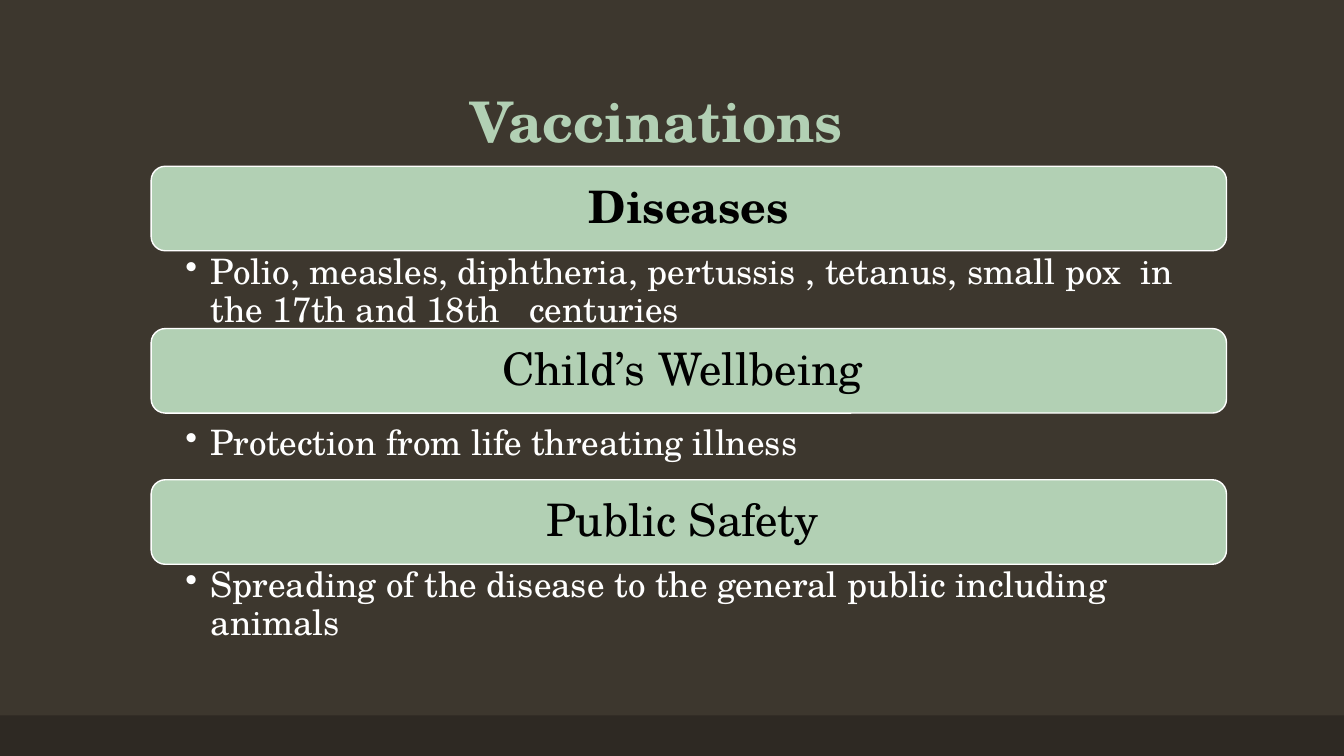
import pptx
import pptx.util
import pptx.dml.color
import pptx.enum.shapes
import pptx.enum.text
import pptx.oxml
import pptx.oxml.ns
from pptx.util import Cm

SHAPES = pptx.enum.shapes.MSO_SHAPE
ALIGN = pptx.enum.text.PP_ALIGN
ANCHOR = pptx.enum.text.MSO_ANCHOR
NO_FIT = pptx.enum.text.MSO_AUTO_SIZE.NONE

WIDTH, HEIGHT, BAND_TOP = 33.87, 19.05, 18.03
LEFT, BAR_WIDTH, BAR_HEIGHT = 3.81, 27.1, 2.13

# bar top, heading, bold, detail top, detail height, detail
TOPICS = [
    (4.19, "Diseases", True, 6.32, 2.16,
     "Polio, measles, diphtheria, pertussis , tetanus, small pox  in the 17th and 18th   centuries"),
    (8.28, "Child’s Wellbeing ", False, 10.62, 1.47,
     "Protection from life threating illness"),
    (12.09, "Public Safety ", False, 14.2, 2.16,
     "Spreading of the disease to the general public including animals"),
]


def colour(code):
    return pptx.dml.color.RGBColor.from_string(code)


def apply(target, values):
    for name, value in values.items():
        setattr(target, name, value)


class SlideBuilder:
    font = "TeX Gyre Schola"
    background, band, green = "3D372E", "2E2923", "B2D0B4"
    white, black = "FFFFFF", "000000"

    def __init__(self, deck):
        self.page = deck.slides.add_slide(deck.slide_layouts[5])
        fill = self.page.background.fill
        fill.solid()
        fill.fore_color.rgb = colour(self.background)

    def frame(self, box, anchor, insets):
        """Set wrapping, anchor and insets (left, top, right, bottom)."""
        sides = ("margin_left", "margin_top", "margin_right", "margin_bottom")
        values = dict(zip(sides, map(Cm, insets)))
        values.update(word_wrap=True, auto_size=NO_FIT, vertical_anchor=anchor)
        apply(box.text_frame, values)
        return box.text_frame.paragraphs[0]

    def add_text(self, para, text, size, code, bold=False, align=ALIGN.LEFT):
        apply(para, {"alignment": align, "line_spacing": 0.9})
        span = para.add_run()
        span.text = text
        apply(span.font, {"name": self.font, "size": pptx.util.Pt(size), "bold": bold})
        span.font.color.rgb = colour(code)

    def shape(self, kind, left, top, width, height, code):
        box = self.page.shapes.add_shape(kind, Cm(left), Cm(top), Cm(width), Cm(height))
        box.shadow.inherit = False
        box.fill.solid()
        box.fill.fore_color.rgb = colour(code)
        box.line.fill.background()
        return box

    def title(self, text):
        box = self.page.shapes.title
        apply(box, {"left": Cm(2.11), "top": Cm(0.84), "width": Cm(29.21), "height": Cm(3.18)})
        para = self.frame(box, ANCHOR.BOTTOM, (0.25, 0.13, 0.25, 0.13))
        self.add_text(para, text, 40, self.green, True, ALIGN.CENTER)
        self.add_text(para, " ", 34, self.green, False, ALIGN.CENTER)

    def bar(self, top, text, bold):
        box = self.shape(SHAPES.ROUNDED_RECTANGLE, LEFT, top, BAR_WIDTH, BAR_HEIGHT, self.green)
        box.line.color.rgb = colour(self.white)
        box.line.width = pptx.util.Pt(1)
        para = self.frame(box, ANCHOR.MIDDLE, (0.43,) * 4)
        self.add_text(para, text, 32, self.black, bold, ALIGN.CENTER)

    def detail(self, top, height, text):
        box = self.page.shapes.add_textbox(Cm(LEFT), Cm(top), Cm(BAR_WIDTH), Cm(height))
        para = self.frame(box, ANCHOR.TOP, (0.86, 0.1, 0.64, 0.1))
        self.add_text(para, text, 25, self.white)
        # Bullet with a hanging indent
        properties = para._p.get_or_add_pPr()
        properties.set("marL", str(Cm(0.64)))
        properties.set("indent", str(-Cm(0.64)))
        bullet = pptx.oxml.parse_xml(
            "<a:buChar %s char='•'/>" % pptx.oxml.ns.nsdecls("a"))
        properties.append(bullet)


def main():
    deck = pptx.Presentation()
    apply(deck, {"slide_width": Cm(WIDTH), "slide_height": Cm(HEIGHT)})
    slide = SlideBuilder(deck)

    # Bottom band and title
    slide.shape(SHAPES.RECTANGLE, 0, BAND_TOP, WIDTH, HEIGHT - BAND_TOP, slide.band)
    slide.title("Vaccinations")

    # Topic bars, each with its detail below
    for bar_top, heading, bold, detail_top, detail_height, detail in TOPICS:
        slide.bar(bar_top, heading, bold)
        slide.detail(detail_top, detail_height, detail)

    deck.save("out.pptx")


if __name__ == "__main__":
    main()
